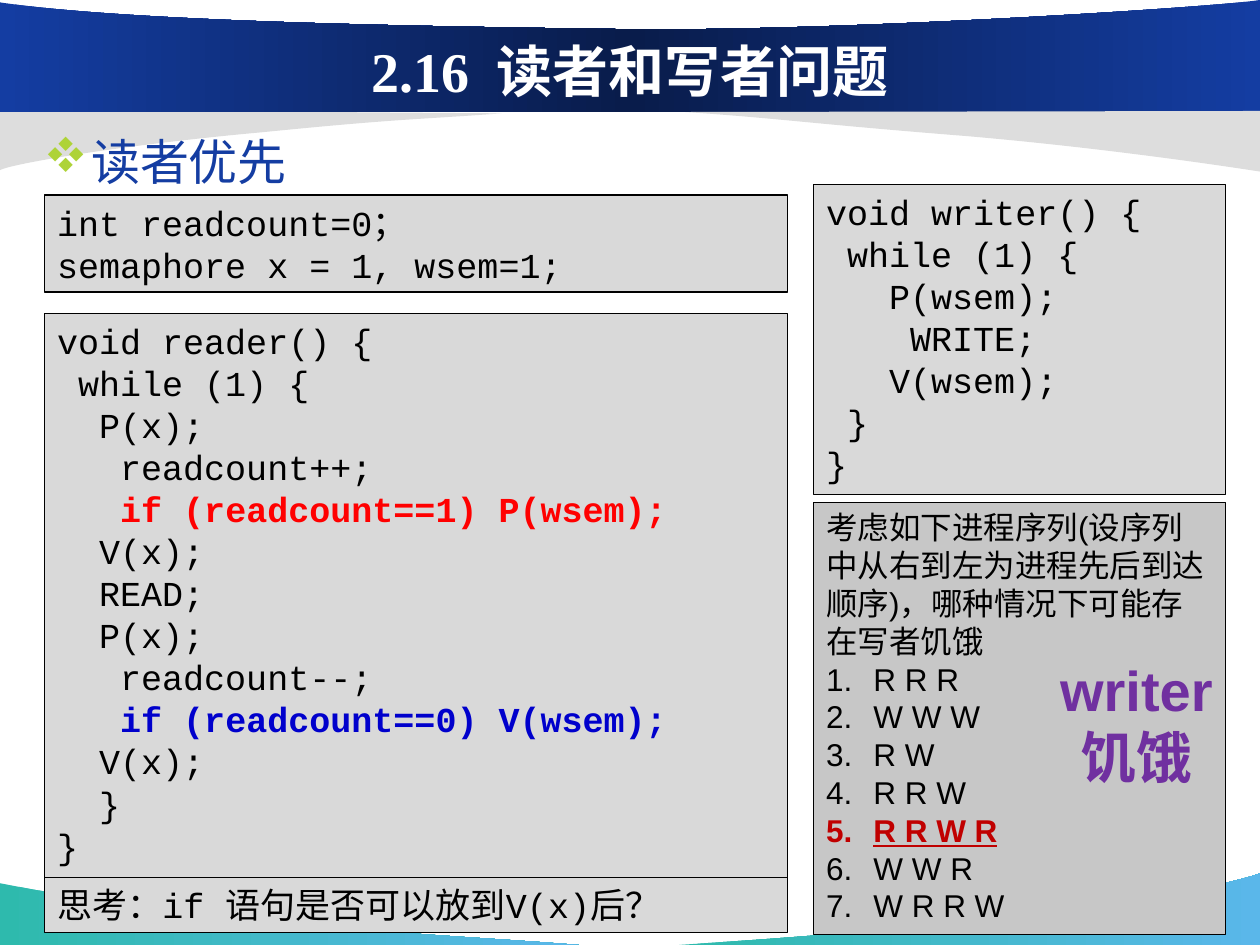
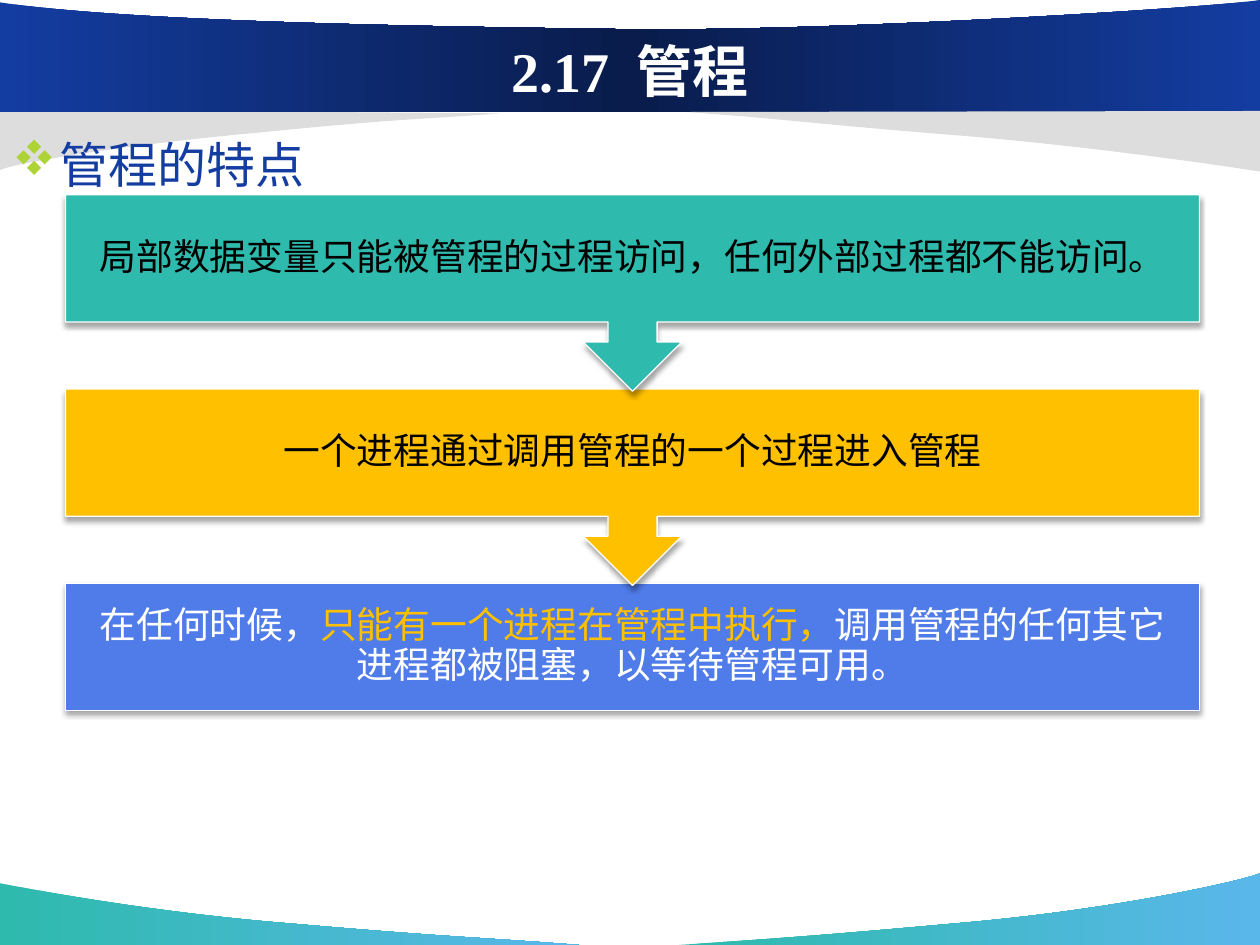
from copy import deepcopy
from dataclasses import dataclass

from lxml import etree
from pptx import Presentation
from pptx.dml.color import RGBColor
from pptx.enum.shapes import MSO_SHAPE
from pptx.enum.text import MSO_ANCHOR, PP_ALIGN
from pptx.oxml.ns import qn
from pptx.util import Pt

RECT = MSO_SHAPE.RECTANGLE
CALLOUT = MSO_SHAPE.DOWN_ARROW_CALLOUT
TOP, MIDDLE = MSO_ANCHOR.TOP, MSO_ANCHOR.MIDDLE
LEFT, CENTER = PP_ALIGN.LEFT, PP_ALIGN.CENTER


@dataclass(frozen=True)
class Theme:
    navy: str = "143DA2"
    deep: str = "091C4B"
    teal: str = "2EBAAD"
    sky: str = "5AB7EA"
    mist: str = "DDDDDD"
    lime: str = "AED337"
    gold: str = "FFC000"
    blue: str = "507CE9"
    code: str = "D9D9D9"
    quiz: str = "C7C7C7"
    ink: str = "000000"
    white: str = "FFFFFF"
    red: str = "FF0000"
    royal: str = "0000CC"
    wine: str = "C00000"
    plum: str = "7030A0"
    sans: str = "Arial"
    mono: str = "Courier New"
    serif: str = "Times New Roman"
    sign: str = "Wingdings"
    big: int = 32
    head: int = 28
    step: int = 21
    body: int = 20
    small: int = 18


T = Theme()

BANDS = [
    ([T.teal, T.sky], [(331, 540), (276.5, 535.7, 257.8, 535.7, 167, 527.8),
                       (76.3, 520.6, 0.7, 504.7, 0, 504.7), (0, 540)]),
    ([T.teal, T.sky], [(388, 540), (442, 536.4, 465, 535, 553.7, 527),
                       (642.2, 519, 712.8, 502.6, 720, 499), (720, 540)]),
    ([T.mist], [(286.6, 64.8), (238.3, 68.4, 229, 67.7, 149.8, 75.6),
                (69.8, 82.8, 6.5, 93.6, 0, 97.2), (0, 62.6)]),
    ([T.navy, T.deep, T.navy], [(0, 64), (720, 64), (720, 0),
                                (694, 4.3, 470.2, 18.7, 350.6, 16.6),
                                (231, 15, 72.7, 12.2, 0, 1.4)]),
    ([T.mist], [(391.7, 64), (446.4, 67.7, 462.2, 70.6, 553, 77.8),
                (643.7, 85.7, 719.3, 98, 720, 98), (720, 63.4)]),
]


def rgb(tint):
    return RGBColor.from_string(tint)


def add_sub(node, tag, **attrs):
    return etree.SubElement(node, qn(tag), attrs)


def write(frame, paras, font=T.sans, size=T.body, tint=T.ink, bold=False,
          under=False, align=LEFT, anchor=TOP, lead=None, inset=(7.2, 3.6),
          wrap=True, bullet=None, first=0):
    frame.word_wrap = wrap
    frame.vertical_anchor = anchor
    frame.margin_left = frame.margin_right = Pt(inset[0])
    frame.margin_top = frame.margin_bottom = Pt(inset[1])
    for i, runs in enumerate(paras):
        para = frame.paragraphs[0] if i == 0 else frame.add_paragraph()
        para.alignment = align
        if lead:
            para.line_spacing = lead
        if bullet and i >= first:
            props = para._p.get_or_add_pPr()
            props.set("marL", str(Pt(27)))
            props.set("indent", str(-Pt(27)))
            if bullet == "1.":
                add_sub(props, "a:buAutoNum", type="arabicPeriod")
            else:
                hue = add_sub(props, "a:buClr")
                add_sub(hue, "a:srgbClr", val=T.lime)
                add_sub(props, "a:buFont", typeface=T.sign, charset="2")
                add_sub(props, "a:buChar", char=bullet)
        for item in [runs] if isinstance(runs, str) else runs:
            text, own = (item, {}) if isinstance(item, str) else item
            run = para.add_run()
            run.text = text
            run.font.name = font
            run.font.size = Pt(size)
            run.font.bold = own.get("bold", bold)
            run.font.underline = own.get("under", under)
            run.font.color.rgb = rgb(own.get("tint", tint))
            if "space" in own:
                run._r.get_or_add_rPr().set("spc", str(int(own["space"] * 100)))


def add_box(slide, kind, box, fill, line):
    shape = slide.shapes.add_shape(kind, *map(Pt, box))
    shape.shadow.inherit = False
    shape.fill.solid()
    shape.fill.fore_color.rgb = rgb(fill)
    shape.line.color.rgb = rgb(line)
    shape.line.width = Pt(0.75)
    return shape


def add_panel(slide, box, paras, fill=T.code, size=T.body, font=T.mono, **fmt):
    shape = add_box(slide, RECT, box, fill, T.ink)
    write(shape.text_frame, paras, font=font, size=size,
          lead=Pt(size * 1.2), **fmt)


def add_label(slide, box, paras, **fmt):
    label = slide.shapes.add_textbox(*map(Pt, box))
    write(label.text_frame, paras, **fmt)


def add_head(slide, box, text):
    add_label(slide, box, [text], size=T.head, tint=T.navy, lead=1.2,
              bullet="v")


def paint(fill, tints):
    if len(tints) == 1:
        fill.solid()
        fill.fore_color.rgb = rgb(tints[0])
        return
    fill.gradient()
    fill.gradient_angle = 0
    if len(tints) == 3:
        node = fill.gradient_stops[0]._gs
        node.addnext(deepcopy(node))
    for i, (stop, tint) in enumerate(zip(fill.gradient_stops, tints)):
        stop.position = i / (len(tints) - 1)
        stop.color.rgb = rgb(tint)


def bend(band, nodes):
    lines = list(band.element.iter(qn("a:lnTo")))
    for line, node in zip(lines, nodes[1:]):
        if len(node) == 2:
            continue
        curve = etree.Element(qn("a:cubicBezTo"))
        for x, y in zip(node[::2], node[1::2]):
            add_sub(curve, "a:pt", x=str(Pt(x) - band.left),
                    y=str(Pt(y) - band.top))
        line.getparent().replace(line, curve)


def add_bands(slide):
    tree = slide.slide_layout.shapes.element
    for i, (tints, nodes) in enumerate(BANDS):
        ends = [(Pt(node[-2]), Pt(node[-1])) for node in nodes]
        pen = slide.shapes.build_freeform(*ends[0], scale=1.0)
        pen.add_line_segments(ends[1:], close=True)
        band = pen.convert_to_shape()
        bend(band, nodes)
        band.shadow.inherit = False
        band.line.fill.background()
        paint(band.fill, tints)
        band.element.nvSpPr.cNvPr.set("id", str(50 + i))
        tree.append(band.element)


def add_title(slide, number, name):
    title = slide.shapes.title
    title.left, title.top, title.width, title.height = map(Pt, (36, 3.6, 648, 73.4))
    write(title.text_frame, [[number, (" ", {"space": 7.5}), name]],
          font=T.serif, size=T.big, tint=T.white, bold=True,
          align=CENTER, anchor=MIDDLE)


def add_reader(slide, left, top, width):
    add_panel(slide, (left, top + 67.7, width, 322.6), [
        "void reader() {",
        " while (1) {",
        "  P(x);",
        "   readcount++;",
        ["   ", ("if (readcount==1) P(wsem);", {"tint": T.red, "bold": True})],
        "  V(x);",
        "  READ;",
        "  P(x);",
        "   readcount--;",
        ["   ", ("if (readcount==0) V(wsem);", {"tint": T.royal, "bold": True})],
        "  V(x);",
        "  }",
        "}",
    ])
    add_panel(slide, (left, top, width, 55.5),
              ["int readcount=0；", "semaphore x = 1, wsem=1;"])
    add_panel(slide, (left, top + 390, width, 31.5),
              ["思考：if 语句是否可以放到V(x)后？"])


def add_writer(slide, left, top, width):
    add_panel(slide, (left, top, width, 177), [
        "void writer() {",
        " while (1) {",
        "   P(wsem);",
        "    WRITE;",
        "   V(wsem);",
        " }",
        "}",
    ])


def add_quiz(slide, left, top, width):
    mark = {"tint": T.wine, "bold": True, "under": True}
    add_panel(slide, (left, top, width, 247), [
        "考虑如下进程序列(设序列中从右到左为进程先后到达顺序)，哪种情况下可能存在写者饥饿",
        "R R R", "W W W", "R W", "R R W", [("R R W R", mark)], "W W R", "W R R W",
    ], fill=T.quiz, size=T.small, font=T.sans, bullet="1.", first=1)
    add_label(slide, (left + width - 102.2, top + 84, 102.2, 85),
              ["writer", "饥饿"], size=T.big, tint=T.plum, bold=True,
              align=CENTER, lead=Pt(T.big * 1.2), wrap=False)


def add_steps(slide, left, top, width):
    late = ["在任何时候，",
            ("只能有一个进程在管程中执行，", {"tint": T.gold}),
            "调用管程的任何其它进程都被阻塞，以等待管程可用。"]
    steps = [
        (T.teal, T.ink, "局部数据变量只能被管程的过程访问，任何外部过程都不能访问。"),
        (T.gold, T.ink, "一个进程通过调用管程的一个过程进入管程"),
        (T.blue, T.white, late),
    ]
    tall, full, pitch = 72.7, 112.3, 111
    for i, (fill, tint, text) in reversed(list(enumerate(steps))):
        last = i == len(steps) - 1
        box = (left, top + i * pitch, width, tall if last else full)
        shape = add_box(slide, RECT if last else CALLOUT, box, fill, T.white)
        if not last:
            shape.adjustments[3] = tall / full
        glow = add_sub(shape.element.spPr.find(qn("a:effectLst")), "a:outerShdw",
                       blurRad=str(Pt(3.1)), dist=str(Pt(1.8)),
                       dir="5400000", rotWithShape="0")
        hue = add_sub(glow, "a:srgbClr", val=T.ink)
        add_sub(hue, "a:alpha", val="35000")
        write(shape.text_frame, [text], size=T.step, tint=tint, align=CENTER,
              anchor=MIDDLE, lead=0.9, inset=(11.5, 11.5))


def main():
    deck = Presentation()
    deck.slide_width, deck.slide_height = Pt(720), Pt(540)
    plain = deck.slide_layouts[5]

    slide = deck.slides.add_slide(plain)
    add_bands(slide)
    add_title(slide, "2.16", "读者和写者问题")
    add_reader(slide, 25.5, 111.5, 424.5)
    add_writer(slide, 465, 105.5, 235.5)
    add_quiz(slide, 465, 287, 235.5)
    add_head(slide, (18, 64.8, 664, 46), "读者优先")

    slide = deck.slides.add_slide(plain)
    add_title(slide, "2.17", "管程")
    add_head(slide, (0, 66.5, 657, 55), "管程的特点")
    add_steps(slide, 37.5, 111.3, 648)

    deck.save("out.pptx")


if __name__ == "__main__":
    main()
